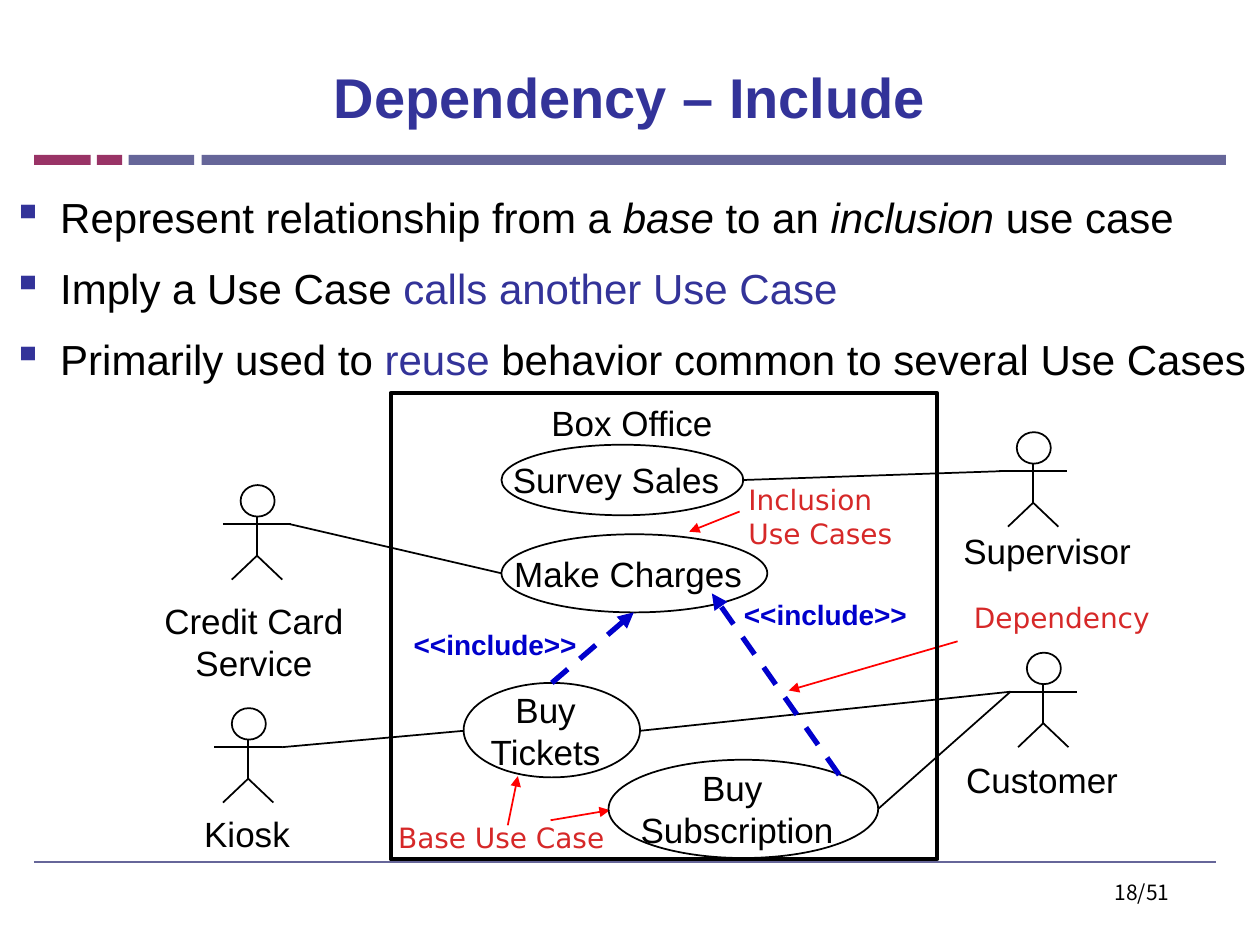
from dataclasses import dataclass

from lxml.etree import SubElement
from pptx import Presentation
from pptx.dml.color import RGBColor
from pptx.enum.dml import MSO_LINE
from pptx.enum.shapes import MSO_CONNECTOR, MSO_SHAPE
from pptx.enum.text import MSO_ANCHOR, PP_ALIGN
from pptx.oxml.ns import qn
from pptx.util import Inches, Pt


@dataclass(frozen=True)
class Theme:
    black: str = "000000"
    navy: str = "333399"
    slate: str = "666699"
    plum: str = "993366"
    note: str = "D62828"
    pointer: str = "FF0000"
    include: str = "0000CC"
    font: str = "Arial"
    note_font: str = "DejaVu Sans"
    page_font: str = "Noto Sans CJK KR"
    title_size: int = 32
    body_size: int = 24
    label_size: int = 20
    note_size: int = 16
    page_size: int = 12


THEME = Theme()


def set_font(font, size, color=THEME.black, name=THEME.font, bold=False):
    font.name, font.size, font.bold = name, Pt(size), bold
    font.color.rgb = RGBColor.from_string(color)


def set_margins(frame, left, top, right, bottom):
    frame.margin_left, frame.margin_top = Inches(left), Inches(top)
    frame.margin_right, frame.margin_bottom = Inches(right), Inches(bottom)


def write(frame, text, align, size, margins, **style):
    set_margins(frame, *margins)
    paragraph = frame.paragraphs[0]
    paragraph.text = text
    paragraph.alignment = align
    set_font(paragraph.font, size, **style)


def add_label(slide, text, box, align=PP_ALIGN.CENTER, size=THEME.label_size,
              margins=(0, 0.05, 0.1, 0.05), **style):
    frame = slide.shapes.add_textbox(*map(Inches, box)).text_frame
    frame.word_wrap = True
    write(frame, text, align, size, margins, **style)


def add_note(slide, text, box):
    add_label(slide, text, box, PP_ALIGN.LEFT, THEME.note_size, (0, 0, 0, 0),
              color=THEME.note, name=THEME.note_font)


def add_outline(shapes, kind, box, width=1):
    outline = shapes.add_shape(kind, *map(Inches, box))
    outline.shadow.inherit = False
    outline.fill.background()
    outline.line.color.rgb = RGBColor.from_string(THEME.black)
    outline.line.width = Pt(width)
    return outline


def add_bar(slide, left, width, color):
    bar = slide.shapes.add_shape(
        MSO_SHAPE.RECTANGLE, *map(Inches, (left, 1.23, width, 0.08)))
    bar.shadow.inherit = False
    bar.fill.solid()
    bar.fill.fore_color.rgb = RGBColor.from_string(color)
    bar.line.fill.background()


def add_line(shapes, start, end, color=THEME.black, width=1, arrow=False, dashed=False):
    line = shapes.add_connector(MSO_CONNECTOR.STRAIGHT, *map(Inches, (*start, *end)))
    line.line.color.rgb = RGBColor.from_string(color)
    line.line.width = Pt(width)
    if dashed:
        line.line.dash_style = MSO_LINE.DASH
    if arrow:
        SubElement(line.line._get_or_add_ln(), qn("a:tailEnd"), type="triangle")
    SubElement(line._element.spPr, qn("a:effectLst"))


def add_use_case(slide, text, box):
    use_case = add_outline(slide.shapes, MSO_SHAPE.OVAL, box)
    frame = use_case.text_frame
    frame.word_wrap = False
    frame.vertical_anchor = MSO_ANCHOR.MIDDLE
    write(frame, text, PP_ALIGN.CENTER, THEME.label_size, (0, 0.05, 0.1, 0.05))


def add_actor(slide, x, top):
    figure = slide.shapes.add_group_shape().shapes
    add_outline(figure, MSO_SHAPE.OVAL, (x - 0.13, top, 0.27, 0.25))
    arms, neck, hip, feet = (top + drop for drop in (0.31, 0.25, 0.56, 0.75))
    add_line(figure, (x - 0.27, arms), (x + 0.27, arms))
    add_line(figure, (x, neck), (x, hip))
    for foot in (x - 0.2, x + 0.2):
        add_line(figure, (x, hip), (foot, feet))


def add_title(slide, text):
    title = slide.shapes.title
    title.left, title.top, title.width, title.height = map(Inches, (0.5, 0.3, 9, 0.93))
    title.text_frame.vertical_anchor = MSO_ANCHOR.MIDDLE
    write(title.text_frame, text, PP_ALIGN.CENTER, THEME.title_size,
          (0.1, 0.05, 0.1, 0.05), color=THEME.navy, bold=True)


def add_bullets(slide, bullets):
    frame = slide.shapes.add_textbox(*map(Inches, (0, 1.39, 10, 5.35))).text_frame
    frame.word_wrap = True
    set_margins(frame, 0.1, 0.05, 0.1, 0.05)
    for index, pieces in enumerate(bullets):
        paragraph = frame.add_paragraph() if index else frame.paragraphs[0]
        paragraph.line_spacing = 1.2
        paragraph.space_before = Pt(6)
        set_font(paragraph.font, THEME.body_size)
        properties = paragraph._p.get_or_add_pPr()
        properties.set("marL", str(Inches(0.38)))
        properties.set("indent", str(-Inches(0.38)))
        bullet_color = properties.makeelement(qn("a:buClr"), {})
        SubElement(bullet_color, qn("a:srgbClr"), val=THEME.navy)
        bullet = properties.makeelement(qn("a:buChar"), {"char": "▪"})
        for element in (bullet_color, bullet):
            properties.find(qn("a:defRPr")).addprevious(element)
        for text, emphasis in pieces:
            run = paragraph.add_run()
            run.text = text
            if emphasis == "italic":
                run.font.italic = True
            elif emphasis == "navy":
                run.font.color.rgb = RGBColor.from_string(THEME.navy)


def add_diagram(slide):
    add_outline(slide.shapes, MSO_SHAPE.RECTANGLE, (3.1, 3.12, 4.34, 3.7), 2.25)
    for text, box in (
        ("Survey Sales", (3.98, 3.53, 1.92, 0.56)),
        ("Make Charges", (3.98, 4.24, 2.11, 0.62)),
        ("Buy\vTickets", (3.68, 5.42, 1.4, 0.75)),
        ("Buy \vSubscription", (4.83, 6.03, 2.14, 0.78)),
    ):
        add_use_case(slide, text, box)
    for x, top in ((2.04, 3.85), (8.2, 3.43), (8.28, 5.18), (1.97, 5.62)):
        add_actor(slide, x, top)
    for text, box in (
        ("Box Office", (3.9, 3.14, 2.33, 0.43)),
        ("Supervisor", (7.54, 4.15, 1.64, 0.43)),
        ("Credit Card Service", (0.9, 4.71, 2.33, 0.77)),
        ("Kiosk", (1.31, 6.4, 1.4, 0.43)),
        ("Customer", (7.62, 5.97, 1.4, 0.43)),
    ):
        add_label(slide, text, box)
    for start, end in (
        ((2.3, 4.16), (3.98, 4.55)),
        ((5.89, 3.81), (7.94, 3.74)),
        ((8.02, 5.49), (5.08, 5.8)),
        ((8.02, 5.49), (6.97, 6.42)),
        ((2.24, 5.93), (3.68, 5.8)),
    ):
        add_line(slide.shapes, start, end)
    for start, end, label_box in (
        ((4.38, 5.42), (5.03, 4.86), (3.28, 4.93, 1.4, 0.37)),
        ((6.66, 6.15), (5.65, 4.71), (5.84, 4.69, 1.52, 0.37)),
    ):
        add_line(slide.shapes, start, end, THEME.include, 3, arrow=True, dashed=True)
        add_label(slide, "<<include>>", label_box, size=THEME.note_size,
                  color=THEME.include, bold=True)


def add_notes(slide):
    add_note(slide, "Dependency", (7.73, 4.77, 1.91, 0.27))
    add_note(slide, "Inclusion \vUse Cases", (5.94, 3.83, 1.34, 0.53))
    add_note(slide, "Base Use Case", (3.16, 6.51, 1.91, 0.27))
    for start, end in (
        ((7.6, 5.09), (6.26, 5.48)),
        ((5.87, 4.06), (5.47, 4.22)),
        ((4.37, 6.51), (4.84, 6.43)),
        ((4.03, 6.55), (4.11, 6.16)),
    ):
        add_line(slide.shapes, start, end, THEME.pointer, arrow=True)


def main():
    deck = Presentation()
    deck.slide_width, deck.slide_height = Inches(10), Inches(7.5)
    slide = deck.slides.add_slide(deck.slide_layouts[5])
    for left, width, color in ((1.6, 8.13, THEME.slate), (0.27, 0.45, THEME.plum),
                               (1.02, 0.52, THEME.slate), (0.77, 0.2, THEME.plum)):
        add_bar(slide, left, width, color)
    add_line(slide.shapes, (0.27, 6.84), (9.65, 6.84), THEME.slate)
    add_label(slide, "18/51", (7.05, 6.93, 2.33, 0.52), PP_ALIGN.RIGHT,
              THEME.page_size, (0.1, 0.05, 0.1, 0.05), name=THEME.page_font)
    add_title(slide, "Dependency – Include")
    add_bullets(slide, (
        (("Represent relationship from a ", None), ("base ", "italic"), ("to an ", None),
         ("inclusion ", "italic"), ("use case", None)),
        (("Imply a Use Case ", None), ("calls another Use Case", "navy")),
        (("Primarily used to ", None), ("reuse", "navy"),
         (" behavior common to several Use Cases", None)),
    ))
    add_notes(slide)
    add_diagram(slide)
    deck.save("out.pptx")


if __name__ == "__main__":
    main()
